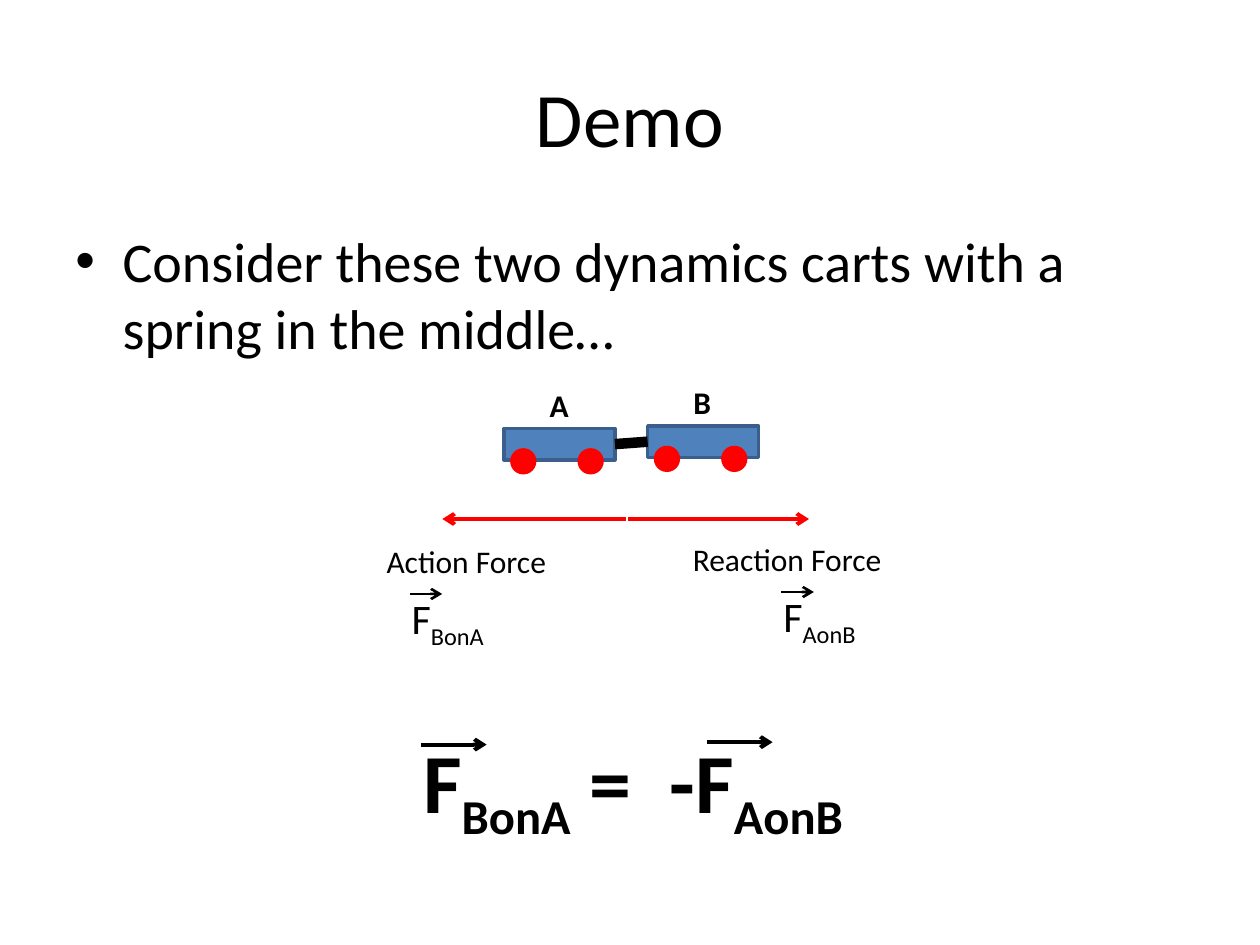
from dataclasses import dataclass

from lxml import etree
from pptx import Presentation
from pptx.dml.color import RGBColor
from pptx.enum import shapes, text
from pptx.oxml.ns import qn
from pptx.util import Pt


@dataclass(frozen=True)
class Theme:
    font: str = "Calibri"
    ink: str = "000000"
    cart: str = "4F81BD"
    edge: str = "3A5F8C"
    red: str = "FF0000"
    title: int = 44
    body: int = 32
    label: int = 18
    force: int = 24
    law: int = 48


THEME = Theme()


def style(run, size, bold=False):
    run.font.name = THEME.font
    run.font.size = Pt(size)
    run.font.bold = bold
    run.font.color.rgb = RGBColor.from_string(THEME.ink)


def write(parent, box, parts, size, bold=False, wrap=False):
    """Add a text box; every second part is a subscript."""
    frame = parent.add_textbox(*map(Pt, box)).text_frame
    frame.word_wrap = wrap
    if not wrap:
        frame.auto_size = text.MSO_AUTO_SIZE.SHAPE_TO_FIT_TEXT
    para = frame.paragraphs[0]
    for i, part in enumerate(parts):
        run = para.add_run()
        run.text = part
        style(run, size, bold)
        if i % 2:
            run.font._element.set("baseline", "-25000")
    return para


def draw(parent, kind, box, fill, edge):
    shape = parent.add_shape(kind, *map(Pt, box))
    shape.shadow.inherit = False
    shape.fill.solid()
    shape.fill.fore_color.rgb = RGBColor.from_string(fill)
    shape.line.color.rgb = RGBColor.from_string(edge)
    shape.line.width = Pt(2)
    return shape


def rule(parent, x, y, run, color, width, arrow=True):
    """Add a level line of signed length run."""
    line = parent.add_connector(
        shapes.MSO_CONNECTOR.STRAIGHT, Pt(x), Pt(y), Pt(x + run), Pt(y))
    line.line.color.rgb = RGBColor.from_string(color)
    line.line.width = Pt(width)
    if arrow:
        etree.SubElement(line.line._get_or_add_ln(), qn("a:tailEnd"), type="arrow")
    etree.SubElement(line._element.spPr, qn("a:effectLst"))
    return line


def head(slide, box, words):
    title = slide.shapes.title
    title.left, title.top, title.width, title.height = map(Pt, box)
    frame = title.text_frame
    frame.text = words
    frame.vertical_anchor = text.MSO_ANCHOR.MIDDLE
    frame.paragraphs[0].alignment = text.PP_ALIGN.CENTER
    style(frame.paragraphs[0].runs[0], THEME.title)


def bullet(slide, box, words):
    para = write(slide.shapes, box, [words], THEME.body, wrap=True)
    props = para._p.get_or_add_pPr()
    props.set("marL", str(Pt(27)))
    props.set("indent", str(Pt(-27)))
    etree.SubElement(props, qn("a:buFont"), typeface="Arial")
    etree.SubElement(props, qn("a:buChar"), char="•")


def cart(slide, box, name):
    """Draw a named cart and return its body."""
    x, y, w, h = box
    group = slide.shapes.add_group_shape().shapes
    body = draw(group, shapes.MSO_SHAPE.RECTANGLE, box, THEME.cart, THEME.edge)
    for dx in (4.5, 43):
        draw(group, shapes.MSO_SHAPE.OVAL, (x + dx, y + 12.3, 13, 13),
             THEME.red, THEME.red)
    write(group, (x + 19, y - 28, 25, 29), [name], THEME.label, bold=True)
    return body


def carts(slide, box):
    x, y, w, h = box
    left = cart(slide, (x, y + 1.4, 63.4, h), "A")
    right = cart(slide, (x + w - 63.4, y, 63.4, h), "B")
    spring = rule(slide.shapes, x + 64, y + 9, 17, THEME.ink, 6, arrow=False)
    spring.begin_connect(left, 3)
    spring.end_connect(right, 1)


def force(slide, box, caption, sub, inset):
    """Place a caption with its vector symbol inset below it."""
    x, y, w, h = box
    write(slide.shapes, (x, y, w, 29), [caption], THEME.label)
    write(slide.shapes, (x + inset, y + 28.8, 60.5, 36), ["F", sub], THEME.force)
    rule(slide.shapes, x + inset + 5.8, y + 33, 18.7, THEME.ink, 1.5)


def law(slide, box):
    x, y, w, h = box
    write(slide.shapes, box, ["F", "BonA", " =  -F", "AonB"], THEME.law, bold=True)
    for dx, dy in ((5.8, 12.2), (169.2, 10.8)):
        rule(slide.shapes, x + dx, y + dy, 37.6, THEME.ink, 2.25)


def main():
    deck = Presentation()
    deck.slide_width, deck.slide_height = Pt(720), Pt(540)
    slide = deck.slides.add_slide(deck.slide_layouts[5])
    head(slide, (36, 21.6, 648, 90), "Demo")
    bullet(slide, (36, 126, 648, 356.4),
           "Consider these two dynamics carts with a spring in the middle…")
    carts(slide, (288, 243.4, 145.5, 18))
    for x, run in ((357.8, -105), (358.6, 103.7)):
        rule(slide.shapes, x, 296.6, run, THEME.red, 2.25)
    force(slide, (213.8, 306.4, 106.6, 65), "Action Force", "BonA", 14.4)
    force(slide, (388.8, 305.3, 123.8, 65), "Reaction Force", "AonB", 51.8)
    law(slide, (234.7, 413.3, 272.9, 65.5))
    deck.save("out.pptx")


if __name__ == "__main__":
    main()
